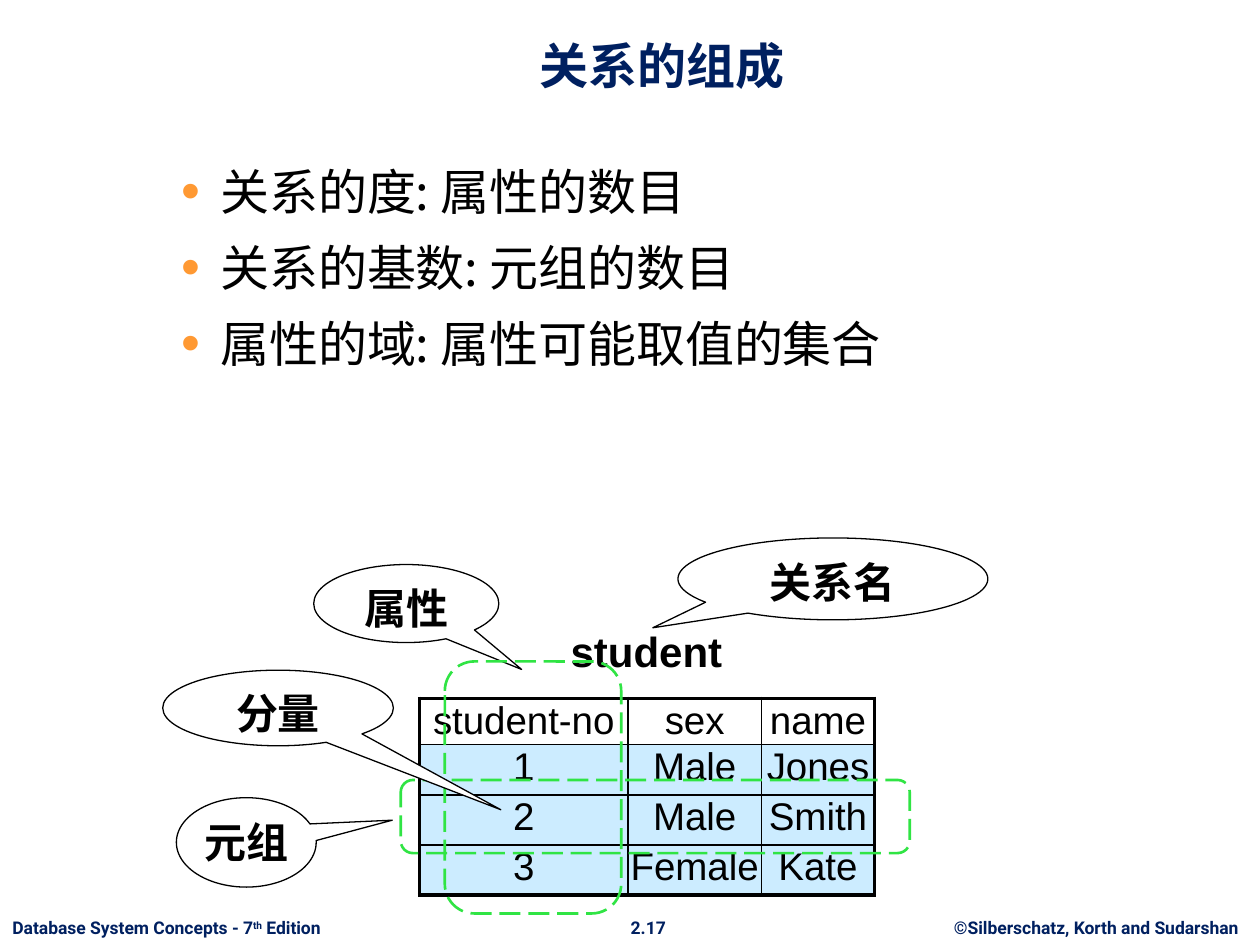
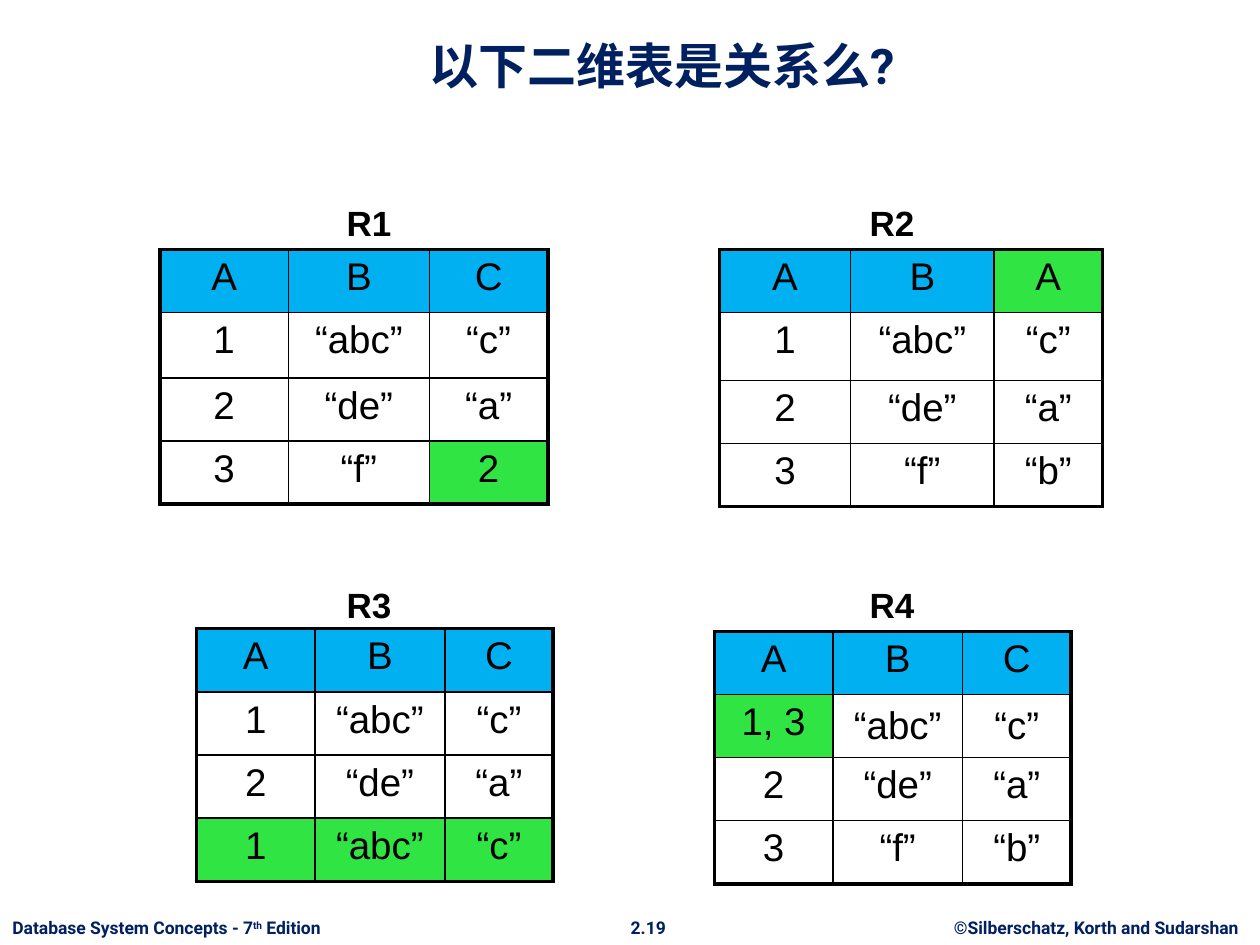
from lxml import etree
from pptx import Presentation
from pptx.dml.color import RGBColor
from pptx.enum import dml, shapes, text
from pptx.oxml import ns
from pptx.util import Pt

COLORS = {
    "navy": "002060", "black": "000000", "white": "FFFFFF", "bullet": "FF9933",
    "pale": "CCECFF", "header": "00B0F0", "green": "30E444",
}
FONTS = {
    "title": dict(name="Roboto", size=Pt(28), bold=True, color="navy"),
    "footer": dict(name="Roboto", size=Pt(10), bold=True, color="navy"),
    "body": dict(name="Noto Sans CJK SC", size=Pt(28), color="black"),
    "cell": dict(name="Arial", size=Pt(22), color="black"),
    "caption": dict(name="Arial", size=Pt(24), bold=True, color="black"),
    "label": dict(name="Arial", size=Pt(20), bold=True, color="black"),
    "callout": dict(name="Cabin", size=Pt(24), bold=True, color="black"),
}
LEFT, CENTER = text.PP_ALIGN.LEFT, text.PP_ALIGN.CENTER
TOP, MIDDLE, BOTTOM = (text.MSO_ANCHOR.TOP, text.MSO_ANCHOR.MIDDLE,
                       text.MSO_ANCHOR.BOTTOM)
THICK, THIN = 2.25, 1


# Shared helpers
def rgb(name):
    return RGBColor.from_string(COLORS[name])


def apply(obj, values):
    for key, value in values.items():
        setattr(obj, key, value)


def points(box):
    return [Pt(v) for v in box]


def inside(box, part):
    """Turn a part given relative to a box into a slide position."""
    return (box[0] + part[0], box[1] + part[1], *part[2:])


def sub(parent, tag, **attrs):
    return etree.SubElement(parent, ns.qn(tag), attrs)


def margins(x, y):
    return dict(margin_left=Pt(x), margin_right=Pt(x),
                margin_top=Pt(y), margin_bottom=Pt(y))


def add_run(p, words, style):
    r = p.add_run()
    r.text = words
    values = dict(FONTS[style])
    r.font.color.rgb = rgb(values.pop("color"))
    apply(r.font, values)
    sub(r.font._element, "a:ea", typeface=values["name"])
    return r


def add_text(slide, box, words, style, align=LEFT, **frame):
    tf = slide.shapes.add_textbox(*points(box)).text_frame
    apply(tf, {"word_wrap": True, **frame})
    p = tf.paragraphs[0]
    p.alignment = align
    if words:
        add_run(p, words, style)
    return tf


def add_outline(slide, kind, box, adjust, color, width):
    sp = slide.shapes.add_shape(kind, *points(box))
    sp.shadow.inherit = False
    for i, value in enumerate(adjust):
        sp.adjustments[i] = value
    sp.line.color.rgb = rgb(color)
    sp.line.width = Pt(width)
    return sp


# Tables: thick frame, thin inner lines
def set_borders(cell, row, col, last_row, last_col):
    tc_pr = cell._tc.get_or_add_tcPr()
    edges = {"L": col == 0, "R": col == last_col,
             "T": row == 0, "B": row == last_row}
    lines = []
    for side, outer in edges.items():
        width = str(Pt(THICK if outer else THIN))
        ln = etree.Element(ns.qn(f"a:ln{side}"), w=width)
        sub(sub(ln, "a:solidFill"), "a:srgbClr", val=COLORS["black"])
        lines.append(ln)
    for i, ln in enumerate(lines):
        tc_pr.insert(i, ln)


def add_table(slide, origin, widths, heights, rows, fills, inset,
              anchors=None, anchor=TOP, body_spacing=None):
    """fills and anchors map (row, column) to a value."""
    box = (*origin, sum(widths), sum(heights))
    table = slide.shapes.add_table(len(rows), len(widths), *points(box)).table
    apply(table, dict(first_row=False, horz_banding=False))
    for col, width in zip(table.columns, widths):
        col.width = Pt(width)
    for i, (height, words) in enumerate(zip(heights, rows)):
        table.rows[i].height = Pt(height)
        for j, word in enumerate(words):
            cell = table.cell(i, j)
            apply(cell, margins(*inset))
            cell.vertical_anchor = (anchors or {}).get((i, j), anchor)
            p = cell.text_frame.paragraphs[0]
            p.alignment = CENTER
            if i and body_spacing:
                p.line_spacing = body_spacing
            add_run(p, word, "cell")
            if (i, j) in fills:
                cell.fill.solid()
                cell.fill.fore_color.rgb = rgb(fills[i, j])
            else:
                cell.fill.background()
            set_borders(cell, i, j, len(rows) - 1, len(widths) - 1)


# Title and footer
def add_base(prs, title, number):
    slide = prs.slides.add_slide(prs.slide_layouts[6])
    grow = dict(word_wrap=False,
                auto_size=text.MSO_AUTO_SIZE.SHAPE_TO_FIT_TEXT)
    y, h = 520.6, 19.4
    add_text(slide, (532.8, y, 187.2, h), "©Silberschatz, Korth and Sudarshan",
             "footer", CENTER, **grow)
    add_text(slide, (352.8, y, 35.3, h), number, "footer", CENTER, **grow)
    tf = add_text(slide, (0, y, 202.3, h), "Database System Concepts - 7",
                  "footer", **grow)
    p = tf.paragraphs[0]
    r = add_run(p, "th", "footer")
    r.font._element.set("baseline", "30000")
    add_run(p, " Edition", "footer")
    add_text(slide, (60.5, 9.4, 635.8, 48.2), title, "title", CENTER,
             vertical_anchor=BOTTOM)
    return slide


# Bulleted definitions
def add_bullets(slide, box, items):
    tf = add_text(slide, box, "", "body")
    for i, item in enumerate(items):
        p = tf.add_paragraph() if i else tf.paragraphs[0]
        apply(p, dict(line_spacing=Pt(36), space_before=Pt(7.4 if i else 0)))
        p_pr = p._p.get_or_add_pPr()
        p_pr.set("marL", str(Pt(58.3)))
        p_pr.set("indent", str(Pt(-22.3)))
        sub(sub(p_pr, "a:buClr"), "a:srgbClr", val=COLORS["bullet"])
        sub(p_pr, "a:buSzPct", val="110000")
        sub(p_pr, "a:buFont", typeface="Arial")
        sub(p_pr, "a:buChar", char="•")
        add_run(p, item, "body")


# Annotated student relation
def add_callout(slide, box, words, tip):
    sp = add_outline(slide, shapes.MSO_SHAPE.OVAL_CALLOUT, box, tip,
                     "black", 0.75)
    sp.fill.solid()
    sp.fill.fore_color.rgb = rgb("white")
    tf = sp.text_frame
    apply(tf, dict(word_wrap=True, vertical_anchor=TOP, **margins(0, 3.6)))
    p = tf.paragraphs[0]
    p.alignment = CENTER
    add_run(p, words, "callout")


def add_frame(slide, box):
    sp = add_outline(slide, shapes.MSO_SHAPE.ROUNDED_RECTANGLE, box, [0.167],
                     "green", 1.5)
    sp.fill.background()
    sp.line.dash_style = dml.MSO_LINE.LONG_DASH


def add_student_diagram(slide, box):
    rows = [("student-no", "sex", "name"), ("1", "Male", "Jones"),
            ("2", "Male", "Smith"), ("3", "Female", "Kate")]
    fills = {(i, j): "pale" if i else "white"
             for i in range(4) for j in range(3)}
    add_table(slide, inside(box, (146.8, 92)), [119, 76.3, 64.7],
              [26.5] + [28.7] * 3, rows, fills, (0, 0),
              anchor=MIDDLE, body_spacing=0.8)
    add_text(slide, inside(box, (226, 47.2, 144, 36)), "student", "caption")

    callouts = [
        ("关系名", (294.4, 0.4, 177.1, 46.8), (-0.581, 0.597)),
        ("属性", (86.3, 15.6, 105.8, 44.6), (0.623, 0.844)),
        ("元组", (7.8, 148.8, 79.9, 51.1), (1.044, -0.248)),
        ("分量", (0, 76, 131.8, 43.2), (0.966, 1.346)),
    ]
    # The frames lie between the upper and the lower callouts
    for words, part, tip in callouts[:2]:
        add_callout(slide, inside(box, part), words, tip)
    for part in [(161.2, 71, 100.8, 144), (136, 138.7, 290.9, 41.8)]:
        add_frame(slide, inside(box, part))
    for words, part, tip in callouts[2:]:
        add_callout(slide, inside(box, part), words, tip)


# Relation with its name above
def add_relation(slide, box, name, offset, widths, heights, rows, marked,
                 inset, anchors=None):
    fills = {(0, j): "header" for j in range(len(widths))}
    fills.update({place: "green" for place in marked})
    add_table(slide, inside(box, offset), widths, heights, rows, fills,
              (inset, 3.6), anchors)
    add_text(slide, box, name, "label", CENTER)


def build_composition(prs):
    slide = add_base(prs, "关系的组成", "2.17")
    add_bullets(slide, (60.5, 86.4, 607, 386), [
        "关系的度: 属性的数目", "关系的基数: 元组的数目",
        "属性的域: 属性可能取值的集合"])
    add_student_diagram(slide, (93, 307, 472, 215))


def build_quiz(prs):
    slide = add_base(prs, "以下二维表是关系么?", "2.19")
    abc, de, f = ("1", "“abc”", "“c”"), ("2", "“de”", "“a”"), ("3", "“f”", "“b”")
    head = ("A", "B", "C")
    narrow, even = [67.7, 74.2, 61.9], [36.1] * 4
    relations = [
        dict(name="R1", offset=(-86.4, 31), widths=[73.4, 80.6, 67.7],
             heights=[36, 37.4, 36, 36], inset=7.2, marked=[(3, 2)],
             rows=[head, abc, de, ("3", "“f”", "2")]),
        dict(name="R2", offset=(-65.5, 31), widths=[74.9, 82.1, 61.9],
             heights=[36, 38.9, 36, 36], inset=7.2, marked=[(0, 2)],
             rows=[("A", "B", "A"), abc, de, f]),
        dict(name="R3", offset=(-65.5, 29.5), widths=narrow, heights=even,
             inset=0, marked=[(3, j) for j in range(3)],
             rows=[head, abc, de, abc]),
        dict(name="R4", offset=(-68.4, 30.9), widths=narrow, heights=even,
             inset=0, marked=[(1, 0)], anchors={(1, 1): MIDDLE, (1, 2): MIDDLE},
             rows=[head, ("1, 3", *abc[1:]), de, f]),
    ]
    for i, relation in enumerate(relations):
        row, col = divmod(i, 2)
        box = (177.8 + col * 298.8, 111.6 + row * 218.2, 66.2, 31)
        add_relation(slide, box, **relation)


def main():
    prs = Presentation()
    apply(prs, dict(slide_width=Pt(720), slide_height=Pt(540)))
    build_composition(prs)
    build_quiz(prs)
    prs.save("out.pptx")


if __name__ == "__main__":
    main()
